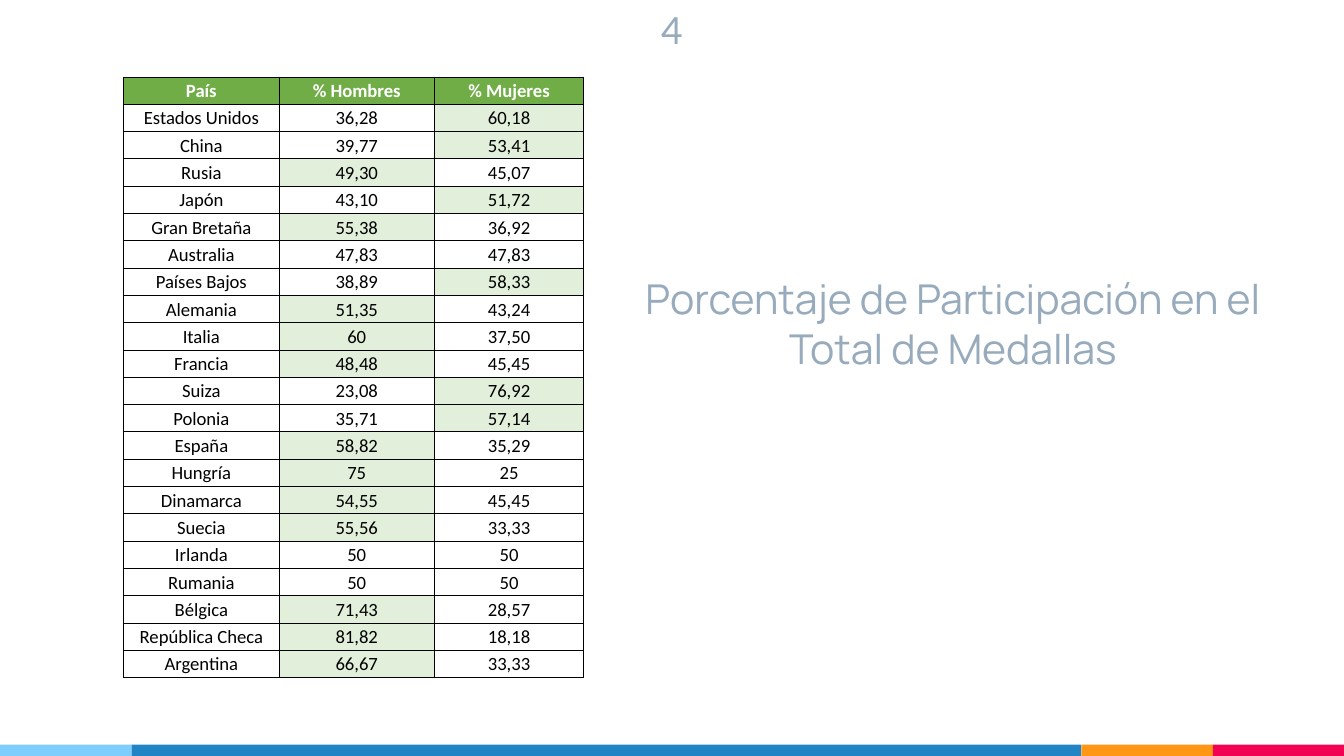
from dataclasses import dataclass

from lxml import etree
from pptx import Presentation
from pptx.dml.color import RGBColor
from pptx.enum import shapes, text
from pptx.oxml import ns
from pptx.util import Pt


@dataclass(frozen=True)
class Theme:
    muted: str = "97ABBC"
    header: str = "70AD47"
    highlight: str = "E2EFDA"
    white: str = "FFFFFF"
    black: str = "000000"
    sky: str = "7ECEFD"
    blue: str = "2185C5"
    orange: str = "FF9715"
    pink: str = "F20253"
    number_size: int = 20
    title_size: int = 22
    table_size: int = 10


theme = Theme()


def style(p, font, size, color, bold=False):
    p.alignment = text.PP_ALIGN.CENTER
    p.font.name = font
    p.font.size = Pt(size)
    p.font.bold = bold
    p.font.color.rgb = RGBColor.from_string(color)


def add_borders(cell):
    tc_pr = cell._tc.get_or_add_tcPr()
    for side in ("lnL", "lnR", "lnT", "lnB"):
        ln = etree.SubElement(tc_pr, ns.qn(f"a:{side}"), w=str(Pt(0.5)))
        fill = etree.SubElement(ln, ns.qn("a:solidFill"))
        etree.SubElement(fill, ns.qn("a:srgbClr"), val=theme.black)


prs = Presentation()
prs.slide_width, prs.slide_height = Pt(720), Pt(405)
s = prs.slides.add_slide(prs.slide_layouts[5])

left = 0
for width, color in ((70.5, theme.sky), (508.75, theme.blue),
                     (70.5, theme.orange), (70.25, theme.pink)):
    sp = s.shapes.add_shape(shapes.MSO_SHAPE.RECTANGLE, Pt(left), Pt(399), Pt(width), Pt(6))
    sp.shadow.inherit = False
    sp.fill.solid()
    sp.fill.fore_color.rgb = RGBColor.from_string(color)
    sp.line.fill.background()
    left += width

sp = s.shapes.add_textbox(Pt(0), Pt(-3.5), Pt(720), Pt(24.5))
tf = sp.text_frame
tf.word_wrap = True
tf.margin_left = tf.margin_right = tf.margin_top = tf.margin_bottom = Pt(7.2)
tf.text = "4"
style(tf.paragraphs[0], "Lato", theme.number_size, theme.muted)

title = s.shapes.title
title.left, title.top, title.width, title.height = Pt(326.5), Pt(53.5), Pt(368), Pt(299)
tf = title.text_frame
tf.word_wrap = True
tf.auto_size = text.MSO_AUTO_SIZE.NONE
tf.vertical_anchor = text.MSO_ANCHOR.MIDDLE
tf.margin_left = tf.margin_right = tf.margin_top = Pt(7.2)
tf.margin_bottom = Pt(67)
tf.text = "Porcentaje de Participación en el Total de Medallas"
style(tf.paragraphs[0], "Manrope", theme.title_size, theme.muted)

headers = ("País", "% Hombres", "% Mujeres")
medals = (
    ("Estados Unidos", "36,28", "60,18"),
    ("China", "39,77", "53,41"),
    ("Rusia", "49,30", "45,07"),
    ("Japón", "43,10", "51,72"),
    ("Gran Bretaña", "55,38", "36,92"),
    ("Australia", "47,83", "47,83"),
    ("Países Bajos", "38,89", "58,33"),
    ("Alemania", "51,35", "43,24"),
    ("Italia", "60", "37,50"),
    ("Francia", "48,48", "45,45"),
    ("Suiza", "23,08", "76,92"),
    ("Polonia", "35,71", "57,14"),
    ("España", "58,82", "35,29"),
    ("Hungría", "75", "25"),
    ("Dinamarca", "54,55", "45,45"),
    ("Suecia", "55,56", "33,33"),
    ("Irlanda", "50", "50"),
    ("Rumania", "50", "50"),
    ("Bélgica", "71,43", "28,57"),
    ("República Checa", "81,82", "18,18"),
    ("Argentina", "66,67", "33,33"),
)
rows = (headers,) + medals
col_widths = (83.25, 83.25, 80)
row_height = 14.65
table = s.shapes.add_table(len(rows), len(headers), Pt(66.25), Pt(41.25),
                           Pt(sum(col_widths)), Pt(row_height * len(rows))).table
for column, width in zip(table.columns, col_widths):
    column.width = Pt(width)

for i, row in enumerate(rows):
    table.rows[i].height = Pt(row_height)
    is_header = i == 0
    leader = None
    if not is_header:
        men, women = (float(value.replace(",", ".")) for value in row[1:])
        if men != women:
            leader = 1 if men > women else 2
    for j, value in enumerate(row):
        cell = table.cell(i, j)
        cell.text = value
        cell.vertical_anchor = text.MSO_ANCHOR.MIDDLE
        cell.margin_left = cell.margin_right = cell.margin_top = Pt(0.7)
        cell.margin_bottom = Pt(0)
        add_borders(cell)
        fill = theme.header if is_header else theme.highlight if j == leader else theme.white
        cell.fill.solid()
        cell.fill.fore_color.rgb = RGBColor.from_string(fill)
        style(cell.text_frame.paragraphs[0], "Calibri", theme.table_size,
              theme.white if is_header else theme.black, is_header)

prs.save("out.pptx")
